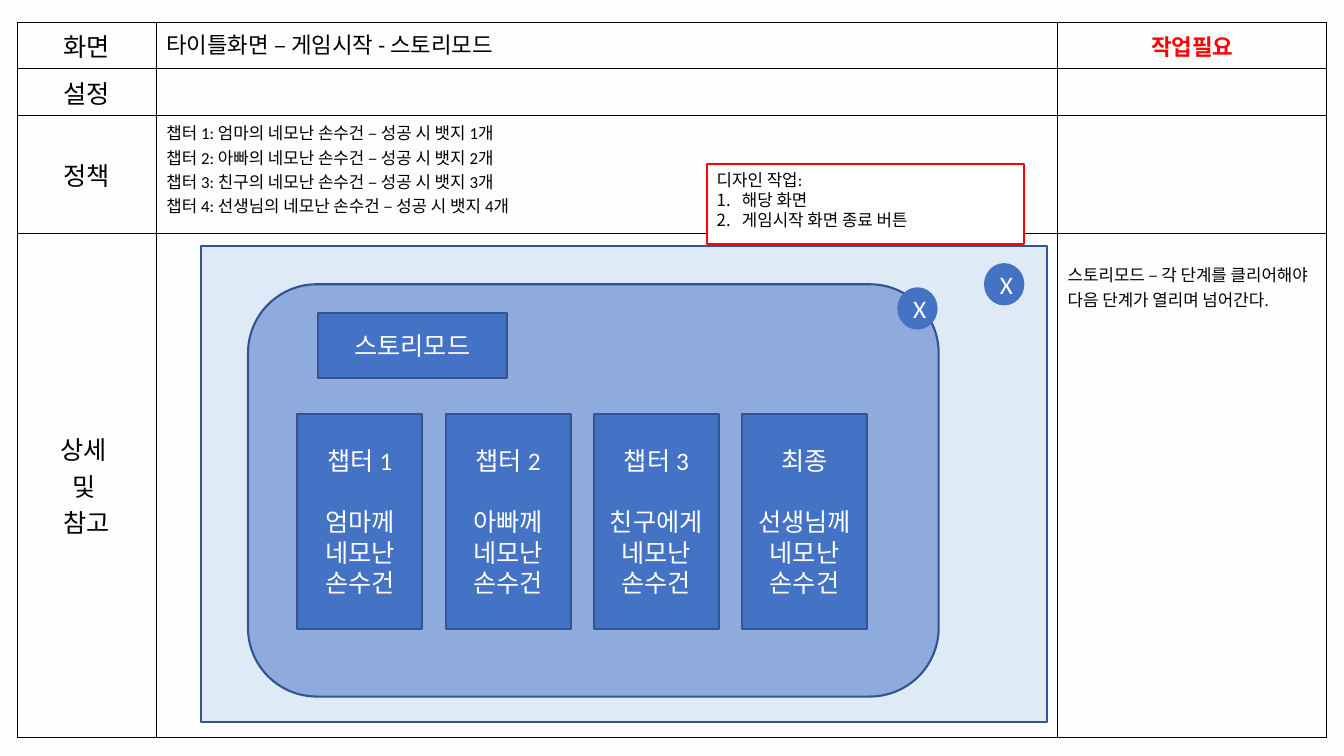
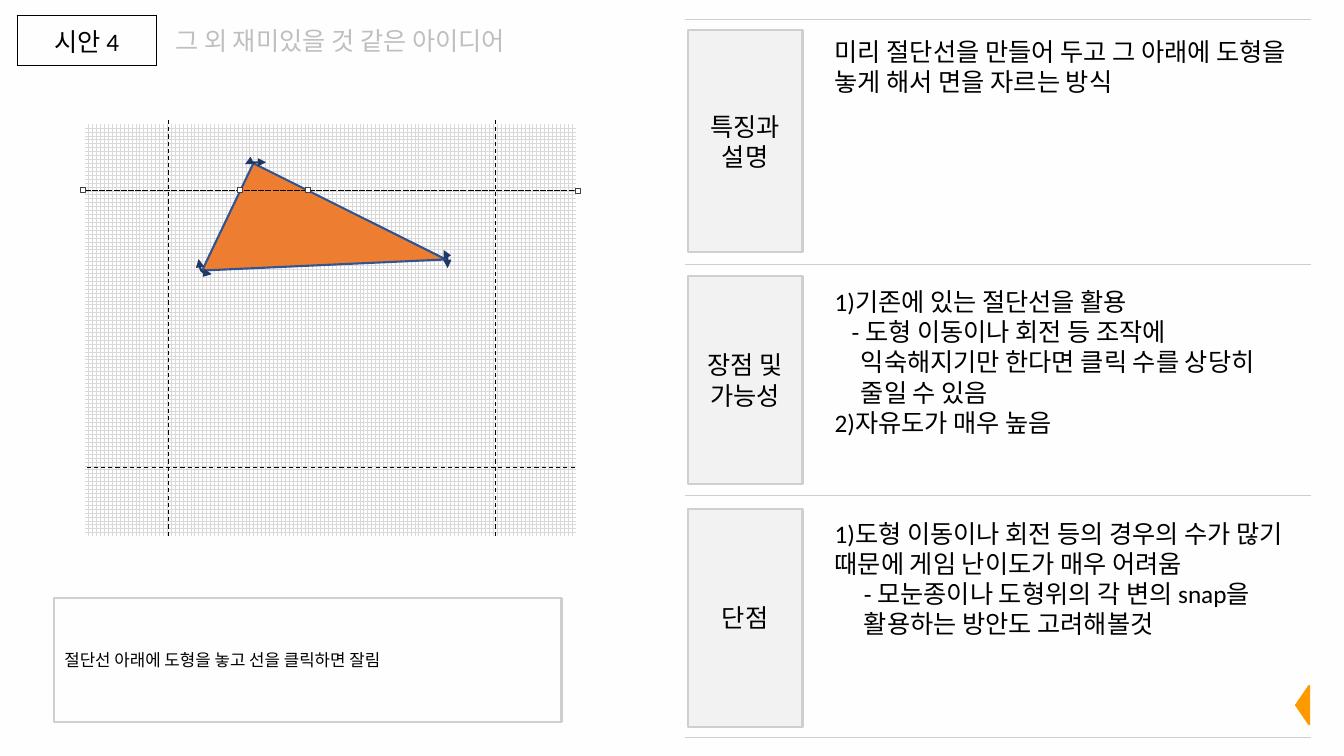
from lxml.etree import SubElement
from pptx import Presentation
from pptx.dml.color import RGBColor
from pptx.enum.dml import MSO_LINE, MSO_PATTERN
from pptx.enum.shapes import MSO_CONNECTOR, MSO_SHAPE
from pptx.enum.text import MSO_ANCHOR, PP_ALIGN
from pptx.oxml import parse_xml
from pptx.oxml.ns import nsdecls, qn
from pptx.util import Pt

PX = 9144
FONT = "Calibri"
COLORS = {
    "paper": "FEFEFE", "white": "FFFFFF", "black": "000000", "red": "FF0000",
    "blue": "4472C4", "edge": "325491", "panel": "8FAADC", "sky": "DEEBF7",
    "navy": "203864", "orange": "ED7D31", "amber": "FF9900",
    "label": "F2F2F2", "rule": "D0CECE", "grid": "D9D9D9",
    "muted": "BFBFBF", "handle": "404040",
}
RGB = {name: RGBColor.from_string(value) for name, value in COLORS.items()}
LEFT, CENTER = PP_ALIGN.LEFT, PP_ALIGN.CENTER
TOP, MIDDLE = MSO_ANCHOR.TOP, MSO_ANCHOR.MIDDLE


def write(tf, text, size=18, color="black", align=LEFT):
    tf.text = text
    for p in tf.paragraphs:
        p.alignment = align
        for r in p.runs:
            r.font.name = FONT
            r.font.size = Pt(size)
            r.font.bold = False
            r.font.color.rgb = RGB[color]


def box(s, kind, at, fill=None, line=None, text="", size=18, color="white",
        align=CENTER, anchor=MIDDLE, weight=1.5):
    sp = s.shapes.add_shape(kind, *[v * PX for v in at])
    sp.shadow.inherit = False
    if fill:
        sp.fill.solid()
        sp.fill.fore_color.rgb = RGB[fill]
    else:
        sp.fill.background()
    if line:
        sp.line.color.rgb = RGB[line]
        sp.line.width = Pt(weight)
    else:
        sp.line.fill.background()
    if text:
        sp.text_frame.word_wrap = True
        sp.text_frame.vertical_anchor = anchor
        write(sp.text_frame, text, size, color, align)
    return sp


prs = Presentation()
prs.slide_width, prs.slide_height = 1333 * PX, 750 * PX
story, idea = [prs.slides.add_slide(prs.slide_layouts[6]) for _ in range(2)]
for s in (story, idea):
    s.background.fill.solid()
    s.background.fill.fore_color.rgb = RGB["paper"]

widths, heights = (138, 894, 267), (45, 46, 117, 500)
policy = "\n".join(
    f"챕터 {n}: {who}의 네모난 손수건 – 성공 시 뱃지 {n}개"
    for n, who in enumerate(("엄마", "아빠", "친구", "선생님"), 1))
rows = [
    ("화면", "타이틀화면 – 게임시작 - 스토리모드", "작업필요"),
    ("설정", "", ""),
    ("정책", policy, ""),
    ("상세 \n및 \n참고", "", "스토리모드 – 각 단계를 클리어해야 다음 단계가 열리며 넘어간다."),
]
table = story.shapes.add_table(4, 3, 17 * PX, 22 * PX, sum(widths) * PX, sum(heights) * PX).table
for c, width in enumerate(widths):
    table.columns[c].width = width * PX
for r, (height, texts) in enumerate(zip(heights, rows)):
    table.rows[r].height = height * PX
    for c, text in enumerate(texts):
        cell = table.cell(r, c)
        size = 18 if c == 0 else 16 if r == 0 else 12
        write(cell.text_frame, text, size, align=CENTER if c == 0 else LEFT)
        cell.vertical_anchor = MIDDLE if c == 0 else TOP
todo = table.cell(0, 2)
write(todo.text_frame, "작업필요", 16, "red", CENTER)
todo.text_frame.paragraphs[0].runs[0].font.bold = True
todo.vertical_anchor = MIDDLE
table.cell(3, 2).margin_top = 29 * PX

box(story, MSO_SHAPE.RECTANGLE, (199, 244, 839, 472), "sky", "edge")
box(story, MSO_SHAPE.OVAL, (976, 261, 40, 42), "blue", text="X")
note = box(story, MSO_SHAPE.RECTANGLE, (701, 163, 315, 79), "white", "red",
           "디자인 작업:\n해당 화면\n게임시작 화면 종료 버튼", 12, "black", LEFT, TOP)
for p in note.text_frame.paragraphs[1:]:
    pPr = p._p.get_or_add_pPr()
    pPr.set("marL", str(25 * PX))
    pPr.set("indent", str(-25 * PX))
    SubElement(pPr, qn("a:buAutoNum"), type="arabicPeriod")
box(story, MSO_SHAPE.ROUNDED_RECTANGLE, (246, 282, 685, 409), "panel", "edge")
box(story, MSO_SHAPE.RECTANGLE, (315, 311, 188, 64), "blue", "edge", "스토리모드")
box(story, MSO_SHAPE.OVAL, (890, 285, 40, 42), "blue", text="X")
chapters = [("챕터 1", "엄마께"), ("챕터 2", "아빠께"), ("챕터 3", "친구에게"), ("최종", "선생님께")]
for n, (chapter, who) in enumerate(chapters):
    card = box(story, MSO_SHAPE.RECTANGLE, (295 + 147 * n, 411, 124, 213), "blue", "edge",
               f"{chapter}\n{who}\n네모난\n손수건")
    card.text_frame.paragraphs[1].space_before = Pt(22)

grid = box(idea, MSO_SHAPE.RECTANGLE, (84, 123, 487, 409))
grid.fill.patterned()
grid.fill.pattern = MSO_PATTERN.LARGE_GRID
grid.fill.fore_color.rgb = RGB["grid"]
grid.fill.back_color.rgb = RGB["white"]

tag = idea.shapes.add_table(1, 1, 17 * PX, 15 * PX, 138 * PX, 50 * PX).table
write(tag.cell(0, 0).text_frame, "시안 4", align=CENTER)
tag.cell(0, 0).vertical_anchor = MIDDLE

box(idea, MSO_SHAPE.RECTANGLE, (54, 593, 503, 123), None, "rule",
    "절단선 아래에 도형을 놓고 선을 클릭하면 잘림", 12, "black", LEFT)
triangle = box(idea, MSO_SHAPE.ISOSCELES_TRIANGLE, (198, 159, 242, 104), "orange", "edge")
triangle.adjustments[0] = 0.23
triangle.rotation = 357.4

cuts = [(167, 119, 167, 532), (491, 119, 491, 532), (570, 189, 84, 189),
        (570, 464, 84, 464), (84, 189, 570, 189)]
rules = [(679, y, 1300, y) for y in (19, 262, 492, 732)]
for ends in cuts + rules:
    line = idea.shapes.add_connector(MSO_CONNECTOR.STRAIGHT, *[v * PX for v in ends])
    line.line.width = Pt(0.75)
    line.line.color.rgb = RGB["rule" if ends in rules else "black"]
    if ends in cuts:
        line.line.dash_style = MSO_LINE.DASH

turns = [((243, 163, 264, 161), 0, -11300),
         ((211, 258, 196, 271), 270, 93900),
         ((451, 255, 433, 259), 270, 5100)]
for ends, angle, bend in turns:
    arrow = idea.shapes.add_connector(MSO_CONNECTOR.CURVE, *[v * PX for v in ends])
    arrow.line.width = Pt(1.5)
    arrow.line.color.rgb = RGB["navy"]
    spPr = arrow._element.spPr
    spPr.find(qn("a:xfrm")).set("rot", str(angle * 60000))
    geom = spPr.find(qn("a:prstGeom"))
    SubElement(geom.get_or_add_avLst(), qn("a:gd"), name="adj1", fmla=f"val {bend}")
    for end in ("a:headEnd", "a:tailEnd"):
        SubElement(arrow.line._get_or_add_ln(), qn(end), type="triangle")

for x, y in ((570, 187), (80, 186), (235, 186), (303, 186)):
    box(idea, MSO_SHAPE.RECTANGLE, (x, y, 5, 5), "white", "handle", weight=0.25)

for y, height, text in ((30, 220, "특징과\n설명"), (274, 206, "장점 및 가능성"), (505, 216, "단점")):
    box(idea, MSO_SHAPE.RECTANGLE, (682, y, 114, height), "label", "rule", text, color="black")

texts = [
    ((164, 20, 393, 40), "muted", "그 외 재미있을 것 같은 아이디어", {}),
    ((818, 31, 484, 71), "black",
     "미리 절단선을 만들어 두고 그 아래에 도형을 놓게 해서 면을 자르는 방식", {}),
    ((818, 279, 484, 162), "black",
     "1)기존에 있는 절단선을 활용\n"
     "- 도형 이동이나 회전 등 조작에 익숙해지기만 한다면 클릭 수를 상당히 줄일 수 있음\n"
     "2)자유도가 매우 높음", {1: (26, -9), 2: (26, -26)}),
    ((818, 509, 484, 131), "black",
     "1)도형 이동이나 회전 등의 경우의 수가 많기 때문에 게임 난이도가 매우 어려움\n"
     "- 모눈종이나 도형위의 각 변의 snap을 활용하는 방안도 고려해볼것", {1: (29, 0)}),
]
for at, color, text, indents in texts:
    tf = idea.shapes.add_textbox(*[v * PX for v in at]).text_frame
    tf.word_wrap = True
    write(tf, text, color=color)
    for n, (margin, indent) in indents.items():
        pPr = tf.paragraphs[n]._p.get_or_add_pPr()
        pPr.set("marL", str(margin * PX))
        pPr.set("indent", str(indent * PX))

back = box(idea, MSO_SHAPE.ISOSCELES_TRIANGLE, (1273, 693, 38, 13), "amber", "amber")
back.rotation = 270

for line in idea.shapes:
    if line._element.tag == qn("p:cxnSp"):
        SubElement(line._element.spPr, qn("a:effectLst"))

for tbl in (table, tag):
    tbl.first_row = tbl.horz_banding = False
    for cell in tbl.iter_cells():
        cell.fill.background()
        tcPr = cell._tc.get_or_add_tcPr()
        for n, side in enumerate("LRTB"):
            tcPr.insert(n, parse_xml(
                f'<a:ln{side} {nsdecls("a")} w="12700"><a:solidFill>'
                f'<a:srgbClr val="{COLORS["black"]}"/></a:solidFill></a:ln{side}>'))

prs.save("out.pptx")
